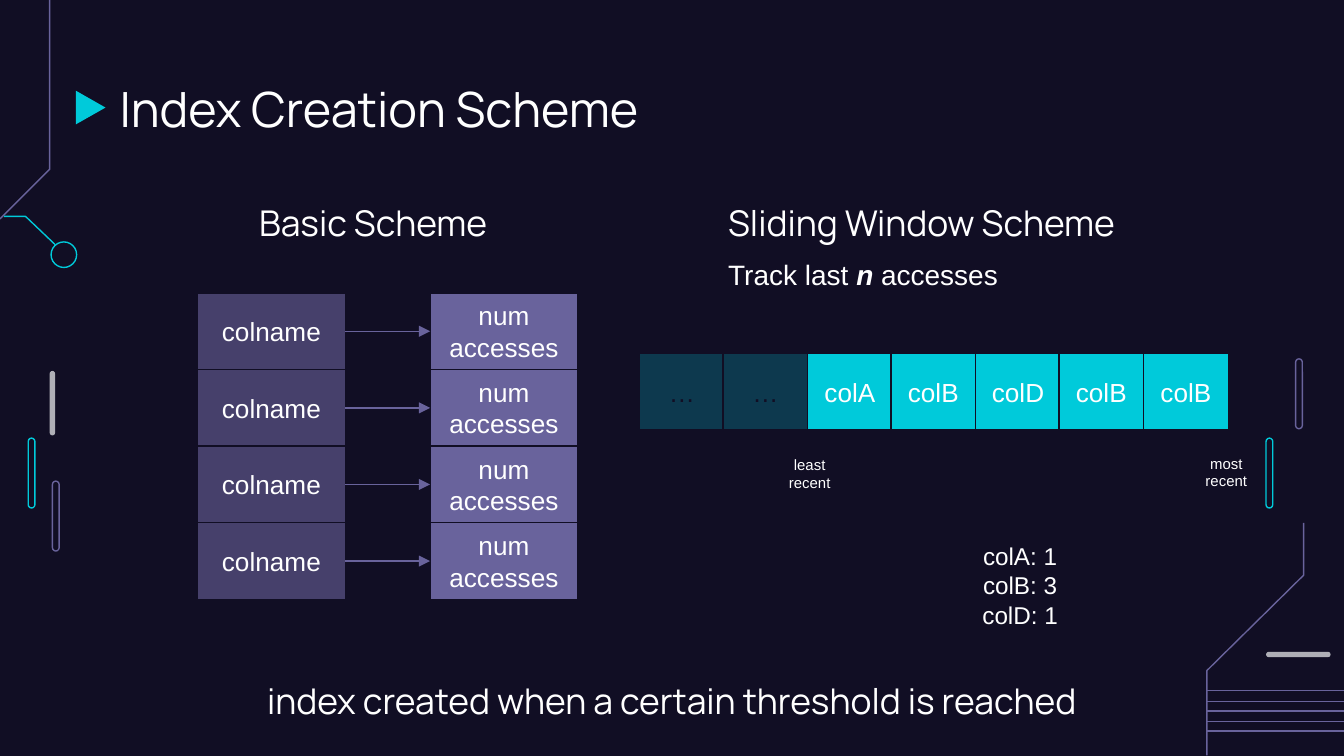
"""Build the index creation scheme slide."""
from typing import NamedTuple

from lxml import etree
from pptx import Presentation
from pptx import util as u
from pptx.dml.color import RGBColor
from pptx.enum import shapes, text
from pptx.oxml.ns import qn

PX = 9144
NAVY = RGBColor(0x11, 0x0E, 0x24)
CYAN = RGBColor(0x00, 0xCA, 0xDA)
PURPLE = RGBColor(0x69, 0x63, 0x9C)
PLUM = RGBColor(0x46, 0x40, 0x6B)
GRAY = RGBColor(0xAF, 0xAF, 0xB6)
WHITE = RGBColor(0xFF, 0xFF, 0xFF)
SHAPE = shapes.MSO_SHAPE
LEFT, CENTER = text.PP_ALIGN.LEFT, text.PP_ALIGN.CENTER
TOP, MIDDLE, BOTTOM = text.MSO_ANCHOR.TOP, text.MSO_ANCHOR.MIDDLE, text.MSO_ANCHOR.BOTTOM


class Box(NamedTuple):
    x: int
    y: int
    w: int
    h: int

    def emu(self) -> list[int]:
        return [v * PX for v in self]


class Run(NamedTuple):
    text: str
    strong: bool = False


class Style(NamedTuple):
    font: str
    size: int
    color: RGBColor = WHITE
    align: text.PP_ALIGN = LEFT
    anchor: text.MSO_ANCHOR = TOP


class Label(NamedTuple):
    box: Box
    paragraphs: list[list[Run]]
    style: Style


class Ornament(NamedTuple):
    kind: shapes.MSO_SHAPE
    box: Box
    fill: RGBColor | None = None
    line: RGBColor | None = None
    rotation: int = 0


class Trace(NamedTuple):
    points: list[tuple[int, int]]
    color: RGBColor


HEADING = Style("Manrope", 19, anchor=BOTTOM)
CELL = Style("Arial", 14, align=CENTER, anchor=MIDDLE)
NOTE = Style("Arial", 8, align=CENTER)

ORNAMENTS = [
    Ornament(SHAPE.ROUNDED_RECTANGLE, Box(942, 326, 5, 52), line=CYAN),
    Ornament(SHAPE.ROUNDED_RECTANGLE, Box(964, 267, 5, 52), line=PURPLE),
    Ornament(SHAPE.ROUNDED_RECTANGLE, Box(21, 326, 5, 52), line=CYAN),
    Ornament(SHAPE.ROUNDED_RECTANGLE, Box(39, 358, 5, 52), line=PURPLE),
    Ornament(SHAPE.ROUNDED_RECTANGLE, Box(942, 485, 48, 4), fill=GRAY),
    Ornament(SHAPE.ROUNDED_RECTANGLE, Box(37, 276, 4, 48), fill=GRAY),
    Ornament(SHAPE.OVAL, Box(38, 180, 19, 19), line=CYAN),
    Ornament(SHAPE.FLOWCHART_MERGE, Box(55, 69, 25, 22), fill=CYAN, rotation=270),
]
TRACES = [
    Trace([(37, 0), (37, 126), (0, 163)], PURPLE),
    Trace([(41, 182), (19, 161), (3, 161)], CYAN),
    Trace([(970, 389), (970, 428), (898, 499), (898, 562)], PURPLE),
]
LABELS = [
    Label(Box(532, 138, 444, 53), [[Run("Sliding Window Scheme")]], HEADING),
    Label(Box(532, 182, 286, 53),
          [[Run("Track last "), Run("n", True), Run(" accesses")]], Style("Arial", 15)),
    Label(Box(183, 138, 286, 53), [[Run("Basic Scheme")]], HEADING),
    Label(Box(881, 328, 63, 47), [[Run("most recent")]], NOTE),
    Label(Box(571, 329, 63, 47), [[Run("least recent")]], NOTE),
    Label(Box(634, 393, 250, 86),
          [[Run(s)] for s in ("colA: 1", "colB: 3", "colD: 1")], NOTE._replace(size=13)),
    Label(Box(107, 494, 786, 53),
          [[Run("index created when a certain threshold is reached")]],
          HEADING._replace(align=CENTER)),
]


def write(sp, paragraphs: list[list[Run]], style: Style) -> None:
    """Fill a shape with styled paragraphs."""
    tf = sp.text_frame
    tf.word_wrap = True
    tf.auto_size = text.MSO_AUTO_SIZE.NONE
    tf.vertical_anchor = style.anchor
    tf.margin_left = tf.margin_right = tf.margin_top = tf.margin_bottom = 10 * PX
    for i, runs in enumerate(paragraphs):
        p = tf.add_paragraph() if i else tf.paragraphs[0]
        p.alignment = style.align
        for run in runs:
            r = p.add_run()
            r.text = run.text
            r.font.name, r.font.size = style.font, u.Pt(style.size)
            r.font.color.rgb = style.color
            r.font.bold = r.font.italic = run.strong


def paint(sp, fill: RGBColor | None, line: RGBColor | None) -> None:
    """Set the fill and outline of a shape and drop its shadow."""
    sp.shadow.inherit = False
    if fill is None:
        sp.fill.background()
    else:
        sp.fill.solid()
        sp.fill.fore_color.rgb = fill
    if line is None:
        sp.line.fill.background()
    else:
        sp.line.color.rgb = line
        sp.line.width = u.Pt(0.75)


def add_ornament(slide, item: Ornament) -> None:
    """Draw one decorative shape."""
    sp = slide.shapes.add_shape(item.kind, *item.box.emu())
    if item.kind == SHAPE.ROUNDED_RECTANGLE:
        sp.adjustments[0] = 0.5
    sp.rotation = item.rotation
    paint(sp, item.fill, item.line)


def add_trace(slide, trace: Trace) -> None:
    """Draw one open circuit trace."""
    start, *rest = trace.points
    fb = slide.shapes.build_freeform(*start, scale=PX)
    fb.add_line_segments(rest, close=False)
    paint(fb.convert_to_shape(), None, trace.color)


def add_line(slide, x1: int, y1: int, x2: int, y2: int, arrow: bool = False):
    """Draw a thin purple line, with an arrowhead if asked."""
    line = slide.shapes.add_connector(
        shapes.MSO_CONNECTOR.STRAIGHT, *(v * PX for v in (x1, y1, x2, y2)))
    line.line.color.rgb = PURPLE
    line.line.width = u.Pt(0.75)
    spPr = line._element.spPr
    if arrow:
        etree.SubElement(spPr.find(qn("a:ln")), qn("a:tailEnd"), type="triangle")
    etree.SubElement(spPr, qn("a:effectLst"))
    return line


def add_cell(slide, box: Box, label: str, fill: RGBColor, faded: bool = False):
    """Draw one labelled cell, see-through if faded."""
    sp = slide.shapes.add_shape(SHAPE.RECTANGLE, *box.emu())
    paint(sp, fill, NAVY)
    if faded:
        color = sp._element.spPr.find(qn("a:solidFill"))[0]
        etree.SubElement(color, qn("a:alpha"), val="23000")
    write(sp, [[Run(label)]], CELL._replace(color=NAVY) if faded else CELL)
    return sp


def main() -> None:
    """Build and save the slide."""
    prs = Presentation()
    prs.slide_width, prs.slide_height = 1000 * PX, 1125 * PX // 2
    slide = prs.slides.add_slide(prs.slide_layouts[5])
    slide.background.fill.solid()
    slide.background.fill.fore_color.rgb = NAVY

    for trace in TRACES:
        add_trace(slide, trace)
    for i in range(5):
        y = 514 + (i * 15 + 1) // 2
        add_line(slide, 1000, y, 898, y)
    for item in ORNAMENTS:
        add_ornament(slide, item)

    title = slide.shapes.title
    title.left, title.top, title.width, title.height = Box(79, 49, 843, 63).emu()
    write(title, [[Run("Index Creation Scheme")]], Style("Manrope", 26))

    for row in range(4):
        y = 218 + 57 * row
        key = add_cell(slide, Box(147, y, 110, 57), "colname", PLUM)
        value = add_cell(slide, Box(320, y, 110, 57), "num accesses", PURPLE)
        arrow = add_line(slide, 257, y + 29, 320, y + 29, arrow=True)
        arrow.begin_connect(key, 3)
        arrow.end_connect(value, 1)

    for i, name in enumerate(["…", "…", "colA", "colB", "colD", "colB", "colB"]):
        add_cell(slide, Box(476 + i * 125 // 2, 263, 63, 57), name, CYAN, name == "…")
    for label in LABELS:
        write(slide.shapes.add_textbox(*label.box.emu()), label.paragraphs, label.style)

    prs.save("out.pptx")


if __name__ == "__main__":
    main()
